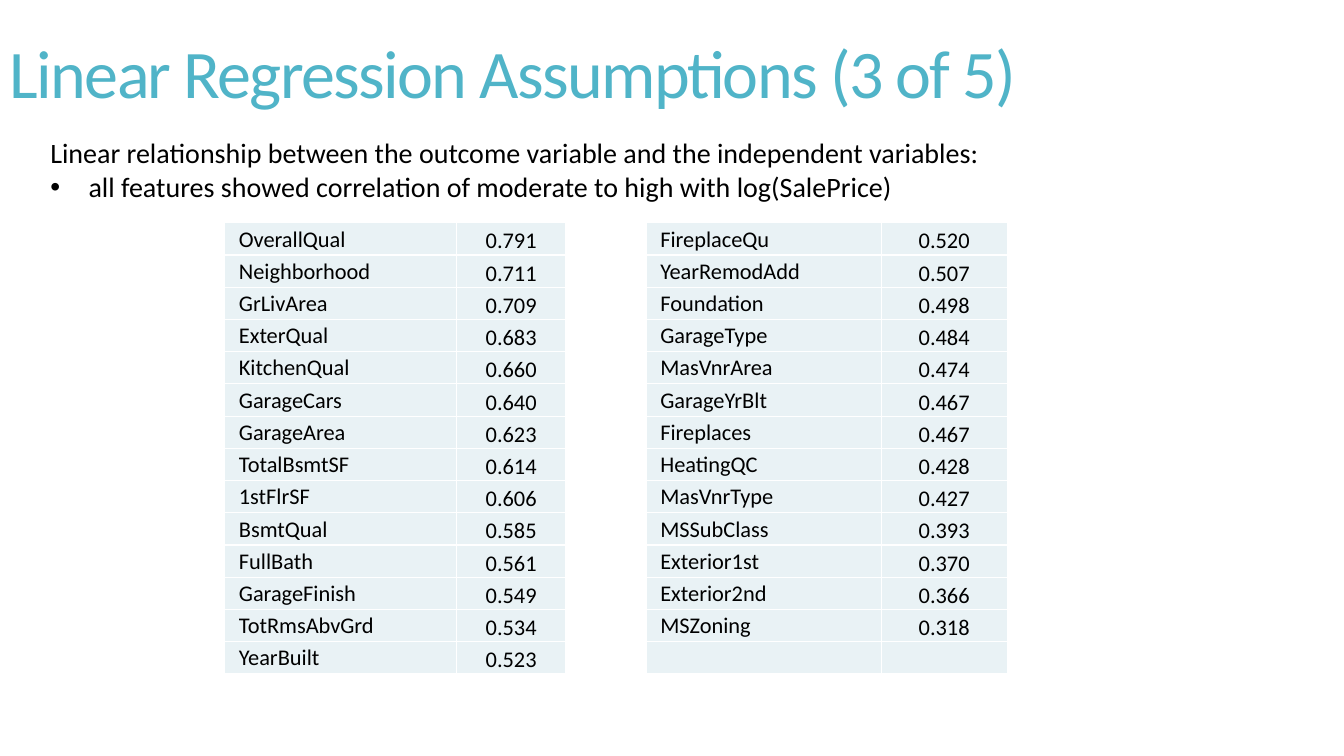
from dataclasses import dataclass
from lxml.etree import SubElement
from pptx import Presentation
from pptx.dml.color import RGBColor
from pptx.enum.text import MSO_ANCHOR, PP_ALIGN
from pptx.oxml.ns import qn
from pptx.util import Inches, Pt


@dataclass(frozen=True)
class Theme:
    font: str = "Calibri"
    title: str = "50B4C8"
    text: str = "000000"
    cell: str = "E9F2F5"
    border: str = "FFFFFF"
    title_size: float = 48.6
    body_size: float = 20
    table_size: float = 16


theme = Theme()


def set_font(p, size, color):
    p.font.name = theme.font
    p.font.size = Pt(size)
    p.font.color.rgb = RGBColor.from_string(color)


def add_borders(cell):
    tcPr = cell._tc.get_or_add_tcPr()
    for side in ("lnL", "lnR", "lnT", "lnB"):
        ln = SubElement(tcPr, qn(f"a:{side}"), w=str(Pt(1)))
        fill = SubElement(ln, qn("a:solidFill"))
        SubElement(fill, qn("a:srgbClr"), val=theme.border)


prs = Presentation()
prs.slide_width = Inches(13.33)
prs.slide_height = Inches(7.5)
s = prs.slides.add_slide(prs.slide_layouts[6])

intro = [
    "Linear relationship between the outcome variable and the independent variables:",
    "all features showed correlation of moderate to high with log(SalePrice)",
]
tf = s.shapes.add_textbox(Inches(0.4), Inches(1.3), Inches(11.78), Inches(0.77)).text_frame
tf.word_wrap = True
for i, line in enumerate(intro):
    p = tf.add_paragraph() if i else tf.paragraphs[0]
    p.text = line
    set_font(p, theme.body_size, theme.text)
pPr = p._p.get_or_add_pPr()
pPr.set("marL", str(Inches(0.38)))
pPr.set("indent", str(-Inches(0.38)))
bullet_font = pPr.makeelement(qn("a:buFont"), {"typeface": "Arial"})
bullet = pPr.makeelement(qn("a:buChar"), {"char": "•"})
pPr.insert(0, bullet_font)
pPr.insert(1, bullet)

strongest = [
    ("OverallQual", 0.791), ("Neighborhood", 0.711), ("GrLivArea", 0.709),
    ("ExterQual", 0.683), ("KitchenQual", 0.660), ("GarageCars", 0.640),
    ("GarageArea", 0.623), ("TotalBsmtSF", 0.614), ("1stFlrSF", 0.606),
    ("BsmtQual", 0.585), ("FullBath", 0.561), ("GarageFinish", 0.549),
    ("TotRmsAbvGrd", 0.534), ("YearBuilt", 0.523),
]
moderate = [
    ("FireplaceQu", 0.520), ("YearRemodAdd", 0.507), ("Foundation", 0.498),
    ("GarageType", 0.484), ("MasVnrArea", 0.474), ("GarageYrBlt", 0.467),
    ("Fireplaces", 0.467), ("HeatingQC", 0.428), ("MasVnrType", 0.427),
    ("MSSubClass", 0.393), ("Exterior1st", 0.370), ("Exterior2nd", 0.366),
    ("MSZoning", 0.318),
]
col_widths = [2.3, 1.08, 0.8, 2.33, 1.25]
gap_col = 2
row_count = len(strongest)
row_height = Inches(0.32)
table = s.shapes.add_table(
    row_count, len(col_widths), Inches(2.23), Inches(2.21),
    Inches(sum(col_widths)), row_height * row_count,
).table
table.first_row = False
table.horz_banding = False
for column, width in zip(table.columns, col_widths):
    column.width = Inches(width)
for row in table.rows:
    row.height = row_height

for cell in table.iter_cells():
    cell.margin_left = cell.margin_right = cell.margin_top = Inches(0.01)
    cell.margin_bottom = 0
    add_borders(cell)
    cell.fill.solid()
    cell.fill.fore_color.rgb = RGBColor.from_string(theme.cell)
    set_font(cell.text_frame.paragraphs[0], theme.table_size, theme.text)
for r in range(row_count):
    table.cell(r, gap_col).fill.background()

for first_col, features in ((0, strongest), (gap_col + 1, moderate)):
    for r, (feature, correlation) in enumerate(features):
        name_cell = table.cell(r, first_col)
        name_cell.vertical_anchor = MSO_ANCHOR.MIDDLE
        p = name_cell.text_frame.paragraphs[0]
        p.text = feature
        p._p.get_or_add_pPr().set("marL", str(Inches(0.13)))
        value_cell = table.cell(r, first_col + 1)
        value_cell.vertical_anchor = MSO_ANCHOR.BOTTOM
        p = value_cell.text_frame.paragraphs[0]
        p.text = f"{correlation:.3f}"
        p.alignment = PP_ALIGN.CENTER

tf = s.shapes.add_textbox(0, Inches(0.39), Inches(13.17), Inches(0.77)).text_frame
tf.word_wrap = True
tf.vertical_anchor = MSO_ANCHOR.MIDDLE
p = tf.paragraphs[0]
p.text = "Linear Regression Assumptions (3 of 5)"
p.line_spacing = 0.85
set_font(p, theme.title_size, theme.title)
p.runs[0].font._element.set("spc", "-120")

prs.save("out.pptx")
